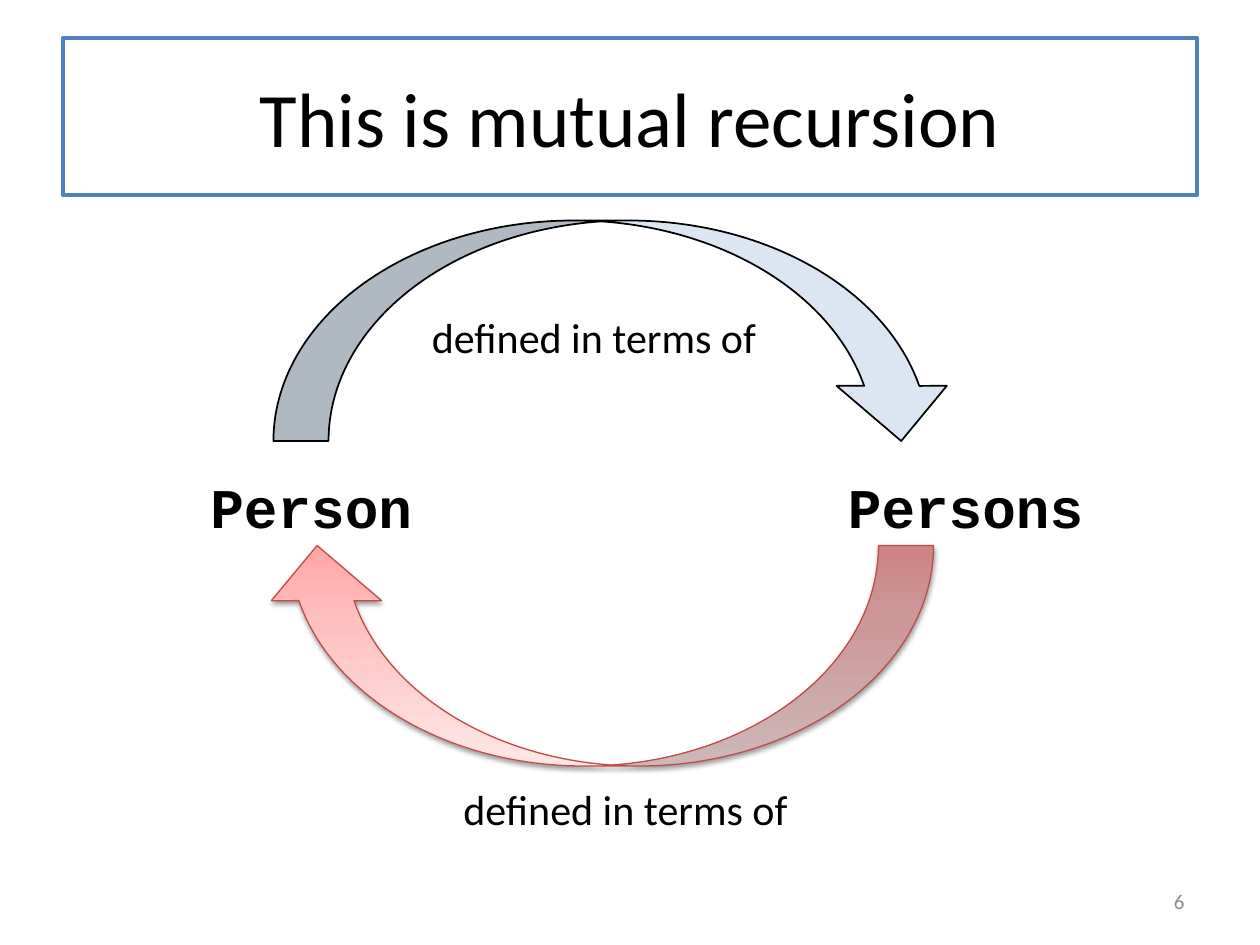
from pptx import Presentation
from pptx.dml.color import RGBColor
from pptx.enum.shapes import MSO_SHAPE
from pptx.enum.text import MSO_ANCHOR, PP_ALIGN
from pptx.oxml import parse_xml
from pptx.oxml.ns import nsdecls, qn
from pptx.util import Inches, Pt

RECTANGLE = MSO_SHAPE.RECTANGLE
CURVED_ARROW = MSO_SHAPE.CURVED_DOWN_ARROW
LEFT, CENTER, RIGHT = PP_ALIGN.LEFT, PP_ALIGN.CENTER, PP_ALIGN.RIGHT
TOP, MIDDLE = MSO_ANCHOR.TOP, MSO_ANCHOR.MIDDLE

WHITE = RGBColor(0xFF, 0xFF, 0xFF)
BLACK = RGBColor(0x00, 0x00, 0x00)
GRAY = RGBColor(0x8C, 0x8C, 0x8C)
BLUE = RGBColor(0x4F, 0x81, 0xBD)
PALE_BLUE = RGBColor(0xDC, 0xE6, 0xF2)
RED = RGBColor(0xBF, 0x4C, 0x48)
PINK_STOPS = [
    (0, RGBColor(0xFF, 0xA6, 0xA5)),
    (35, RGBColor(0xFF, 0xC0, 0xBF)),
    (100, RGBColor(0xFF, 0xE7, 0xE7)),
]


def write_text(shape, text, size, font="Calibri", color=BLACK, bold=False,
               align=LEFT, anchor=TOP):
    frame = shape.text_frame
    frame.word_wrap = True
    frame.vertical_anchor = anchor
    paragraph = frame.paragraphs[0]
    paragraph.alignment = align
    run = paragraph.add_run()
    run.text = text
    run.font.size = Pt(size)
    run.font.name = font
    run.font.bold = bold
    run.font.color.rgb = color


def add_label(slide, box, text, size, **text_format):
    label = slide.shapes.add_textbox(*map(Inches, box))
    write_text(label, text, size, **text_format)


def add_outlined(slide, preset, box, fill, line, width):
    shape = slide.shapes.add_shape(preset, *map(Inches, box))
    shape.shadow.inherit = False
    shape.fill.solid()
    shape.fill.fore_color.rgb = fill
    shape.line.color.rgb = line
    shape.line.width = Pt(width)
    return shape


def flip_both_ways(shape):
    xfrm = shape._element.spPr.find(qn("a:xfrm"))
    xfrm.set("flipH", "1")
    xfrm.set("flipV", "1")


def fill_gradient(shape, stops):
    """Replace the solid fill by a vertical gradient that turns with the shape."""
    stop_xml = "".join(
        f'<a:gs pos="{percent * 1000}"><a:srgbClr val="{color}"/></a:gs>'
        for percent, color in stops)
    gradient = parse_xml(
        f'<a:gradFill {nsdecls("a")} rotWithShape="1"><a:gsLst>{stop_xml}</a:gsLst>'
        '<a:lin ang="16200000" scaled="0"/></a:gradFill>')
    properties = shape._element.spPr
    properties.replace(properties.find(qn("a:solidFill")), gradient)


def add_soft_shadow(shape):
    shadow = parse_xml(
        f'<a:outerShdw {nsdecls("a")} blurRad="{Pt(3.1)}" dist="{Pt(1.6)}" '
        'dir="5400000" rotWithShape="0"><a:srgbClr val="000000">'
        '<a:alpha val="38000"/></a:srgbClr></a:outerShdw>')
    shape._element.spPr.find(qn("a:effectLst")).append(shadow)


def add_class_name(slide, left, name):
    box = slide.shapes.add_textbox(
        Inches(left), Inches(3.75), Inches(2.2), Inches(0.5))
    frame = box.text_frame
    frame.margin_left = frame.margin_right = 0
    frame.margin_top = frame.margin_bottom = 0
    write_text(box, name, 32, font="Courier New", bold=True)


def main():
    presentation = Presentation()
    presentation.slide_width = Inches(10)
    presentation.slide_height = Inches(7.5)
    slide = presentation.slides.add_slide(presentation.slide_layouts[6])

    title = add_outlined(slide, RECTANGLE, (0.5, 0.3, 9, 1.25), WHITE, BLUE, 2.25)
    write_text(title, "This is mutual recursion", 44, align=CENTER, anchor=MIDDLE)

    add_class_name(slide, 1.67, "Person")
    add_class_name(slide, 6.73, "Persons")
    add_label(slide, (7.17, 6.95, 2.33, 0.4), "6", 12, color=GRAY,
              align=RIGHT, anchor=MIDDLE)

    add_outlined(slide, CURVED_ARROW, (2.17, 1.75, 5.42, 1.75), PALE_BLUE, BLACK, 1)
    return_arrow = add_outlined(
        slide, CURVED_ARROW, (2.08, 4.33, 5.33, 1.75), WHITE, RED, 0.75)
    flip_both_ways(return_arrow)
    fill_gradient(return_arrow, PINK_STOPS)
    add_soft_shadow(return_arrow)

    for left, top in ((3.33, 2.42), (3.58, 6.17)):
        add_label(slide, (left, top, 3, 0.5), "defined in terms of", 24)

    presentation.save("out.pptx")


if __name__ == "__main__":
    main()
